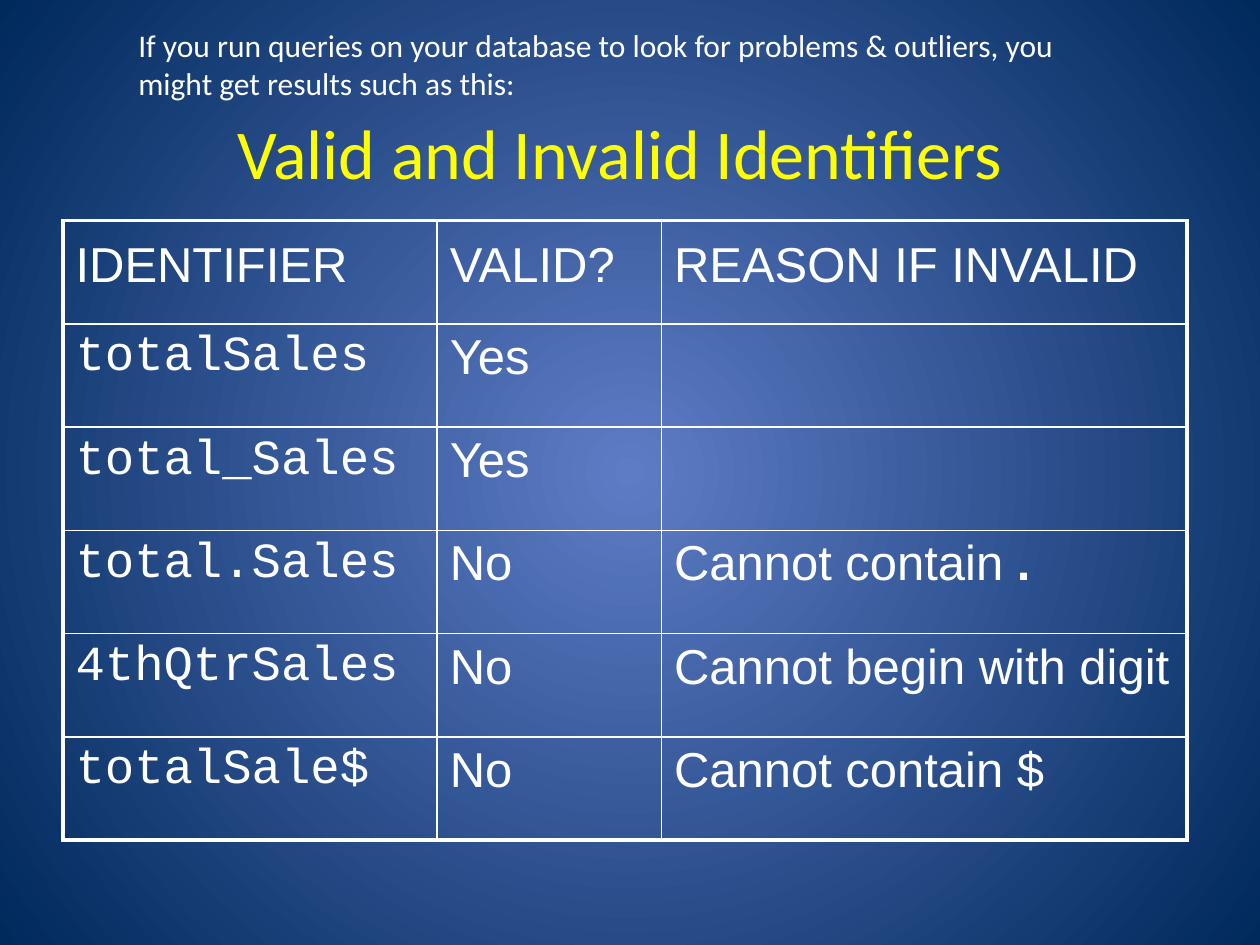
from lxml.etree import SubElement
from pptx import Presentation
from pptx.dml.color import RGBColor
from pptx.enum.text import MSO_ANCHOR, PP_ALIGN
from pptx.oxml.ns import qn
from pptx.util import Inches, Pt

MIDDLE, TOP = MSO_ANCHOR.MIDDLE, MSO_ANCHOR.TOP
CENTER, LEFT = PP_ALIGN.CENTER, PP_ALIGN.LEFT

WHITE = RGBColor(0xFF, 0xFF, 0xFF)
YELLOW = RGBColor(0xFF, 0xFF, 0x00)
GLOW_BLUE = RGBColor(0x5E, 0x7C, 0xC5)
NAVY = RGBColor(0x00, 0x29, 0x5C)

COLUMN_SHARES = (0.297, 0.178, 0.417)
ROW_SHARE = 0.82 / 7.5
HEADINGS = ("IDENTIFIER", "VALID?", "REASON IF INVALID")
IDENTIFIERS = (
    ("totalSales", "Yes", ""),
    ("total_Sales", "Yes", ""),
    ("total.Sales", "No", "Cannot contain *.*"),
    ("4thQtrSales", "No", "Cannot begin with digit"),
    ("totalSale$", "No", "Cannot contain $"),
)


class IdentifierSlide:
    """Style and drawing methods for one slide, with lengths as shares of its size."""

    heading_font, body_font, code_font = "Calibri", "Arial", "Courier New"
    table_size, thick, thin = 28, Pt(2.25), Pt(1)

    def __init__(self, deck):
        self.width, self.height = deck.slide_width, deck.slide_height
        self.slide = deck.slides.add_slide(deck.slide_layouts[6])

    def box(self, left, top, width, height):
        return (int(left * self.width), int(top * self.height),
                int(width * self.width), int(height * self.height))

    def background(self, center, edge):
        fill = self.slide.background.fill
        fill.gradient()
        for stop, color in zip(fill.gradient_stops, (center, edge)):
            stop.color.rgb = color
        gradient = next(self.slide.element.iter(qn("a:gradFill")))
        gradient.remove(gradient.find(qn("a:lin")))
        circle = SubElement(gradient, qn("a:path"), path="circle")
        SubElement(circle, qn("a:fillToRect"), dict.fromkeys("ltrb", "50000"))

    def run(self, paragraph, text, font, size, color, bold=False):
        run = paragraph.add_run()
        run.text = text
        run.font.name, run.font.size, run.font.bold = font, Pt(size), bold
        run.font.color.rgb = color

    def text(self, place, text, size, color, align=LEFT, anchor=TOP):
        frame = self.slide.shapes.add_textbox(*self.box(*place)).text_frame
        frame.word_wrap = True
        frame.vertical_anchor = anchor
        frame.paragraphs[0].alignment = align
        self.run(frame.paragraphs[0], text, self.heading_font, size, color)

    def borders(self, cell, edges):
        properties = cell._tc.get_or_add_tcPr()
        for side, outer in zip("LRTB", edges):
            line = SubElement(properties, qn(f"a:ln{side}"),
                              w=str(self.thick if outer else self.thin))
            fill = SubElement(line, qn("a:solidFill"))
            SubElement(fill, qn("a:srgbClr"), val=str(WHITE))
        cell.fill.background()

    def cell_text(self, cell, text, font, line_spacing):
        paragraph = cell.text_frame.paragraphs[0]
        paragraph.line_spacing = line_spacing
        before = paragraph._p.get_or_add_pPr().get_or_add_spcBef()
        SubElement(before, qn("a:spcPct"), val="20000")
        for index, part in enumerate(text.split("*")):
            if part:
                self.run(paragraph, part, font, self.table_size, WHITE, index % 2 == 1)

    def table(self, left, top, column_shares, row_share, rows):
        last_row, last_column = len(rows) - 1, len(column_shares) - 1
        place = self.box(left, top, sum(column_shares), row_share * len(rows))
        table = self.slide.shapes.add_table(len(rows), len(column_shares), *place).table
        table.first_row = table.horz_banding = False
        for column, share in zip(table.columns, column_shares):
            column.width = int(share * self.width)
        for r, texts in enumerate(rows):
            table.rows[r].height = int(row_share * self.height)
            for c, text in enumerate(texts):
                cell = table.cell(r, c)
                self.borders(cell, (c == 0, c == last_column, r == 0, r == last_row))
                font = self.code_font if r and c == 0 else self.body_font
                self.cell_text(cell, text, font, 1.0 if r else 1.2)


def main():
    deck = Presentation()
    deck.slide_width, deck.slide_height = Inches(10), Inches(7.5)
    page = IdentifierSlide(deck)
    page.background(GLOW_BLUE, NAVY)
    page.text((0.067, 0.58 / 7.5, 0.85, 1.25 / 7.5), "Valid and Invalid Identifiers",
              40, YELLOW, CENTER, MIDDLE)
    page.table(0.05, 1.75 / 7.5, COLUMN_SHARES, ROW_SHARE, (HEADINGS, *IDENTIFIERS))
    page.text((0.1, 0.16 / 7.5, 0.783, 0.71 / 7.5),
              "If you run queries on your database to look for problems & outliers, "
              "you might get results such as this:", 18, WHITE)
    deck.save("out.pptx")


if __name__ == "__main__":
    main()
